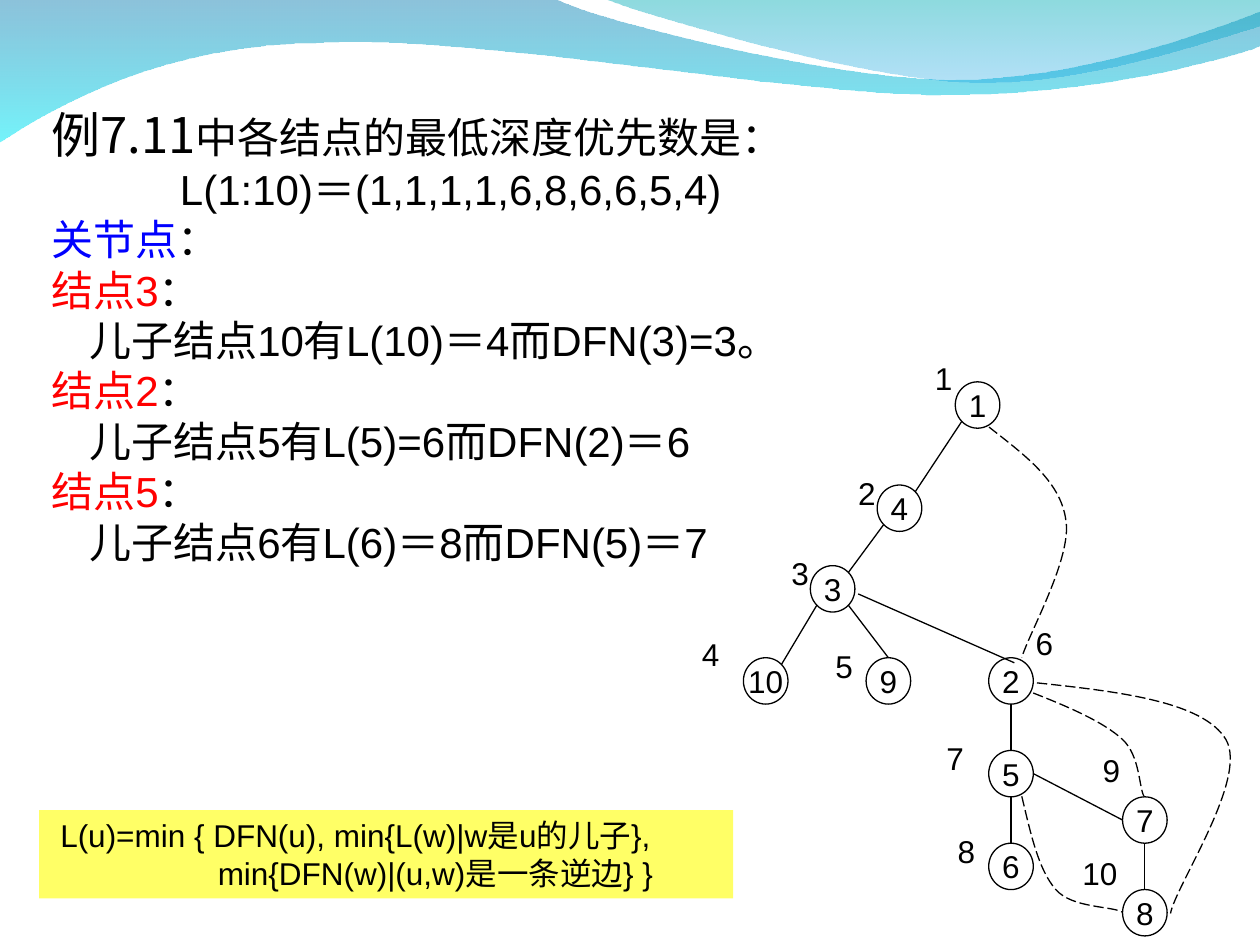
from dataclasses import dataclass
from math import cos, pi, sin
from typing import NamedTuple

from lxml import etree
from pptx import Presentation
from pptx import util as u
from pptx.dml.color import RGBColor
from pptx.enum import dml, shapes, text
from pptx.oxml.ns import qn


@dataclass(frozen=True)
class Theme:
    ink: str = "000000"
    blue: str = "0000FF"
    red: str = "FF0000"
    white: str = "FFFFFF"
    note: str = "FFFF66"
    latin: str = "Arial"
    asian: str = "Noto Sans CJK SC"
    big: int = 28
    body: int = 24
    small: int = 18
    line: float = 0.75


T = Theme()


class Run(NamedTuple):
    words: str
    color: str = T.ink
    size: int = T.body
    font: str = T.latin


class Para(NamedTuple):
    runs: list
    indent: float = 0


class Node(NamedTuple):
    """A tree node with its search number; places are grid columns and rows."""
    name: str
    col: float
    row: float
    order: int
    mark_col: float
    mark_row: float


class Edge(NamedTuple):
    """Tree edge between connection sites, counted in eighths from the top leftwards."""
    start: str
    exit: int
    end: str
    entry: int
    shift: tuple = ()            # columns and rows; a shifted edge is not joined


class Wave(NamedTuple):
    points: list
    stops: list


COL, ROW = 0.177, 0.184          # half a node wide, half a node high
LEFT, TOP = 5.9, 5.22            # grid origin: corner of node 10

NODES = [
    Node("1", 9.5, -11.9, 1, 8.02, -13.15),
    Node("4", 6, -7.45, 2, 4.58, -8.2),
    Node("3", 3, -3.97, 3, 1.58, -4.73),
    Node("10", 0, 0, 4, -2.43, -1.25),
    Node("9", 5.5, 0, 5, 3.56, -0.71),
    Node("2", 11, 0, 6, 12.54, -1.74),
    Node("5", 11, 4, 7, 8.53, 3.26),
    Node("6", 11, 8, 8, 9.04, 7.23),
    Node("7", 17, 6, 9, 15.54, 3.75),
    Node("8", 17, 10, 10, 14.63, 8.21),
]
EDGES = [
    Edge("1", 3, "4", 7), Edge("4", 3, "3", 7), Edge("3", 3, "10", 7),
    Edge("3", 5, "9", 0), Edge("3", 6, "2", 0, (0.15, 0.22)), Edge("2", 4, "5", 0),
    Edge("5", 4, "6", 0), Edge("5", 6, "7", 2), Edge("7", 4, "8", 0),
]
# Points are on a grid of one-inch cells; a six-number step is a curve.
OUTER = [(8.23, 5.42), (8.89, 5.49, 9.55, 5.57, 9.73, 5.87),
         (9.91, 6.18, 9.33, 7.03, 9.29, 7.25)]
BACK = [
    [(7.85, 3.39), (8.13, 3.61, 8.42, 3.82, 8.46, 4.13),
     (8.51, 4.43, 8.16, 5.04, 8.11, 5.22)],
    [(8.2, 5.5), (8.48, 5.61, 8.76, 5.73, 8.91, 5.87),
     (9.05, 6, 9.04, 6.26, 9.08, 6.32)],
    [(8.11, 6.32), (8.18, 6.61, 8.24, 6.9, 8.38, 7.06),
     (8.51, 7.21, 8.83, 7.19, 8.91, 7.24)],
]
WAVES = [
    Wave([(0, -0.01), (4.4, -0.01), (4.76, 0.17, 6.64, 0.63, 7.58, 0.63),
          (8.53, 0.63, 9.58, 0.26, 10, 0.09), (10.01, 0.36),
          (9.83, 0.44, 8.7, 0.76, 7.46, 0.75),
          (6.22, 0.75, 3.82, 0.28, 2.57, 0.34),
          (1.29, 0.35, 0.46, 0.83, -0.01, 1.13), (0, -0.01)],
         [("0079AF", 45), ("00EBF8", 55)]),
    Wave([(4.79, -0.01), (5.09, 0.11, 6.82, 0.62, 7.69, 0.65),
          (8.56, 0.69, 9.61, 0.32, 10, 0.21), (10, 0), (4.79, -0.01)],
         [("00ADB6", 45), ("009BE5", 30)]),
]

COLON = Run("：")
STORY = [
    Para([Run("例7.11", size=T.big, font=T.asian), Run("中各结点的最低深度优先数是：")]),
    Para([Run("L(1:10)＝(1,1,1,1,6,8,6,6,5,4)")], 1.02),
    Para([Run("关节点", T.blue), COLON]),
]
for name, proof in [("结点3", "儿子结点10有L(10)＝4而DFN(3)=3。"),
                    ("结点2", "儿子结点5有L(5)=6而DFN(2)＝6"),
                    ("结点5", "儿子结点6有L(6)＝8而DFN(5)＝7")]:
    STORY += [Para([Run(name, T.red), COLON]), Para([Run(proof)], 0.3)]
RULE = [
    Para([Run("L(u)=min { DFN(u), min{L(w)|w是u的儿子},", size=T.small)], 0.07),
    Para([Run("min{DFN(w)|(u,w)是一条逆边} }", size=T.small)], 1.32),
]


def rgb(code: str) -> RGBColor:
    return RGBColor.from_string(code)


def inch(*sizes: float) -> list:
    return [u.Inches(size) for size in sizes]


def write(shape, paras: list, **form) -> None:
    frame = shape.text_frame
    for key, value in {"word_wrap": True, "vertical_anchor": text.MSO_ANCHOR.TOP,
                       **form}.items():
        setattr(frame, key, value)
    align = text.PP_ALIGN.LEFT if frame.word_wrap else text.PP_ALIGN.CENTER
    for i, para in enumerate(paras):
        line = frame.paragraphs[0] if i == 0 else frame.add_paragraph()
        line.alignment = align
        if para.indent:
            props = line._p.get_or_add_pPr()
            props.set("marL", str(u.Inches(para.indent)))
            props.set("indent", "0")
        for part in para.runs:
            run = line.add_run()
            run.text = part.words
            for key, value in {"size": u.Pt(part.size), "name": part.font}.items():
                setattr(run.font, key, value)
            run.font.color.rgb = rgb(part.color)
            etree.SubElement(run._r.get_or_add_rPr(), qn("a:ea"), typeface=T.asian)


def stroke(line, dash=None) -> None:
    line.color.rgb = rgb(T.ink)
    line.width = u.Pt(T.line)
    if dash:
        line.dash_style = dash


def trace(canvas, steps: list, close: bool):
    """Draw a freeform, joining the three points of each curve step into a cubic."""
    points = [inch(*step[i:i + 2]) for step in steps for i in range(0, len(step), 2)]
    pen = canvas.build_freeform(*points[0])
    pen.add_line_segments(points[1:], close=close)
    shape = pen.convert_to_shape()
    shape.shadow.inherit = False
    lines = iter(list(shape.element.spPr.iter(qn("a:lnTo"))))
    for step in steps[1:]:
        first, *rest = [next(lines) for _ in range(len(step) // 2)]
        if rest:
            first.tag = qn("a:cubicBezTo")
            for line in rest:
                first.append(line[0])
                line.getparent().remove(line)
    return shape


def draw_wave(canvas, wave: Wave) -> None:
    shape = trace(canvas, wave.points, True)
    shape.line.fill.background()
    shape.fill.gradient()
    shape.fill.gradient_angle = 270
    for stop, (color, _) in zip(shape.fill.gradient_stops, wave.stops):
        stop.color.rgb = rgb(color)
    tints = shape.element.spPr.iter(qn("a:srgbClr"))
    for tint, (_, alpha) in zip(tints, wave.stops):
        etree.SubElement(tint, qn("a:alpha"), val=str(alpha * 1000))


def draw_back(canvas, steps: list) -> None:
    shape = trace(canvas, steps, False)
    shape.fill.background()
    stroke(shape.line, dml.MSO_LINE.LONG_DASH)


def draw_node(canvas, node: Node):
    shape = canvas.add_shape(shapes.MSO_SHAPE.OVAL, *inch(
        LEFT + node.col * COL, TOP + node.row * ROW, 2 * COL, 2 * ROW))
    shape.shadow.inherit = False
    shape.fill.solid()
    shape.fill.fore_color.rgb = rgb(T.white)
    stroke(shape.line)
    write(shape, [Para([Run(node.name, size=T.small)])], word_wrap=False,
          vertical_anchor=text.MSO_ANCHOR.MIDDLE)
    return shape


def site(node: Node, index: int, shift: tuple) -> list:
    angle = index * pi / 4
    right, down = shift or (0, 0)
    return inch(LEFT + (node.col + 1 - sin(angle) + right) * COL,
                TOP + (node.row + 1 - cos(angle) + down) * ROW)


def draw_edge(canvas, edge: Edge, ovals: dict) -> None:
    nodes = {node.name: node for node in NODES}
    link = canvas.add_connector(shapes.MSO_CONNECTOR.STRAIGHT,
                                *site(nodes[edge.start], edge.exit, edge.shift),
                                *site(nodes[edge.end], edge.entry, edge.shift))
    stroke(link.line)
    etree.SubElement(link.element.spPr, qn("a:effectLst"))
    if edge.shift:
        return
    joint = link.element.nvCxnSpPr.cNvCxnSpPr
    for tag, name, index in (("a:stCxn", edge.start, edge.exit),
                             ("a:endCxn", edge.end, edge.entry)):
        etree.SubElement(joint, qn(tag), id=str(ovals[name].shape_id), idx=str(index))


def draw_mark(canvas, node: Node) -> None:
    width = 0.34 if node.order < 10 else 0.48
    box = canvas.add_textbox(*inch(LEFT + node.mark_col * COL,
                                   TOP + node.mark_row * ROW, width, 0.4))
    write(box, [Para([Run(str(node.order), size=T.small)])], word_wrap=False)


def main() -> None:
    deck = Presentation()
    deck.slide_width, deck.slide_height = inch(10, 7.5)
    canvas = deck.slides.add_slide(deck.slide_layouts[6]).shapes
    for wave in WAVES:
        draw_wave(canvas, wave)
    write(canvas.add_textbox(*inch(0.31, 0.78, 9.42, 3.77)), STORY)

    tree = canvas.add_group_shape().shapes
    draw_back(tree, OUTER)
    ovals = {node.name: draw_node(tree, node) for node in NODES}
    draw_back(tree, BACK[0])
    for edge in EDGES:
        draw_edge(tree, edge, ovals)
    for steps in BACK[1:]:
        draw_back(tree, steps)
    for node in NODES:
        draw_mark(tree, node)

    note = canvas.add_shape(shapes.MSO_SHAPE.RECTANGLE, *inch(0.31, 6.43, 5.51, 0.7))
    note.shadow.inherit = False
    note.fill.solid()
    note.fill.fore_color.rgb = rgb(T.note)
    note.line.fill.background()
    write(note, RULE)
    deck.save("out.pptx")


if __name__ == "__main__":
    main()
